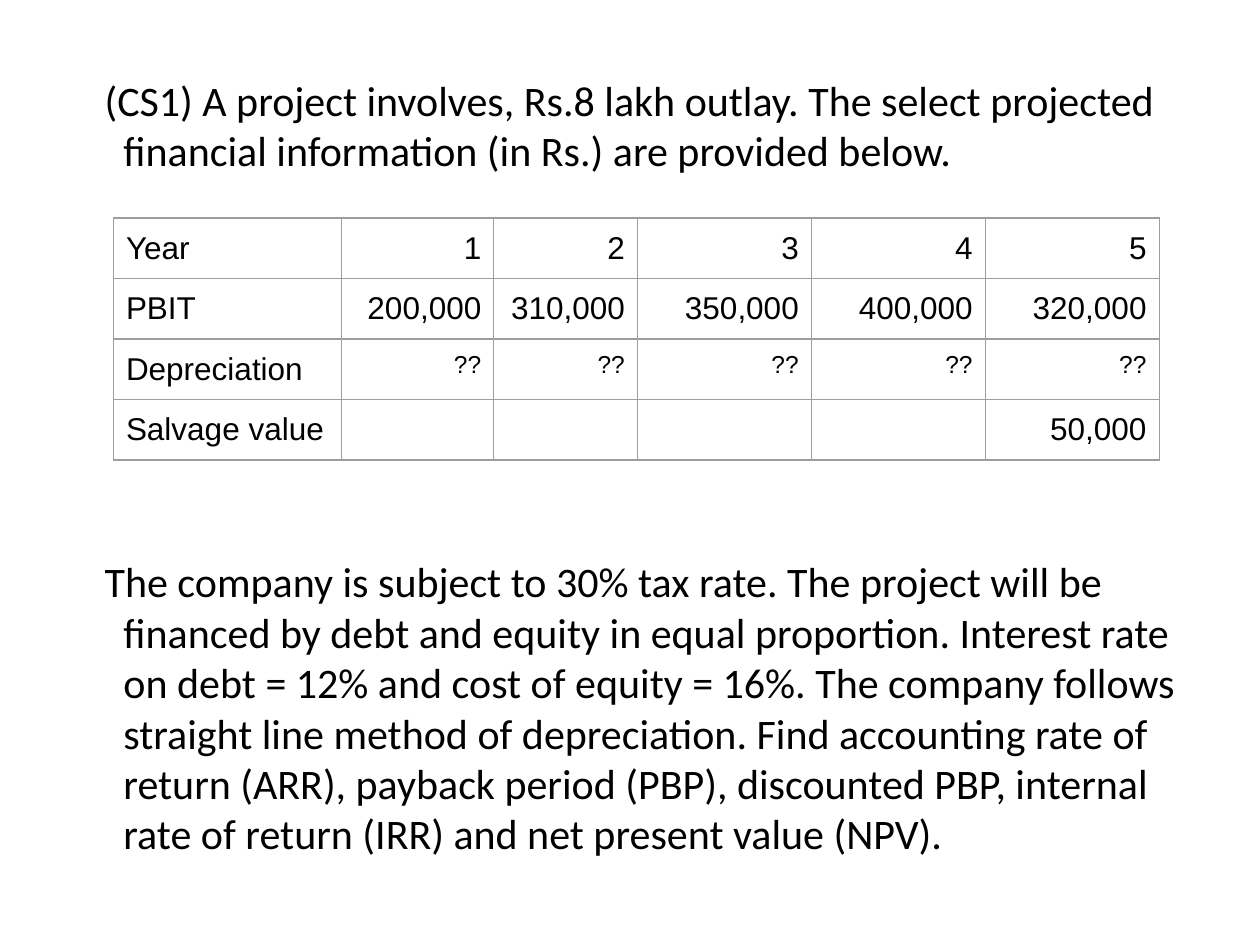
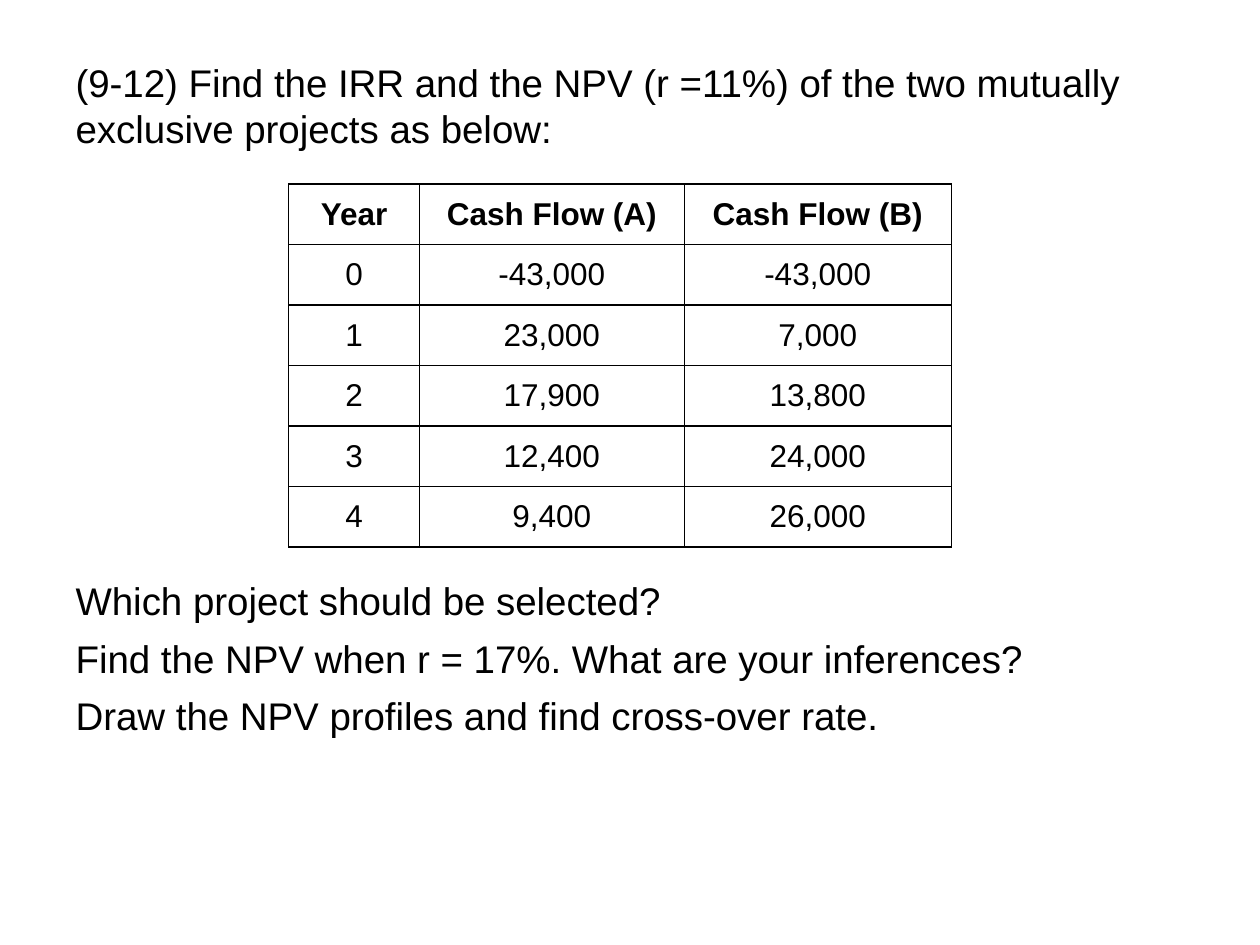
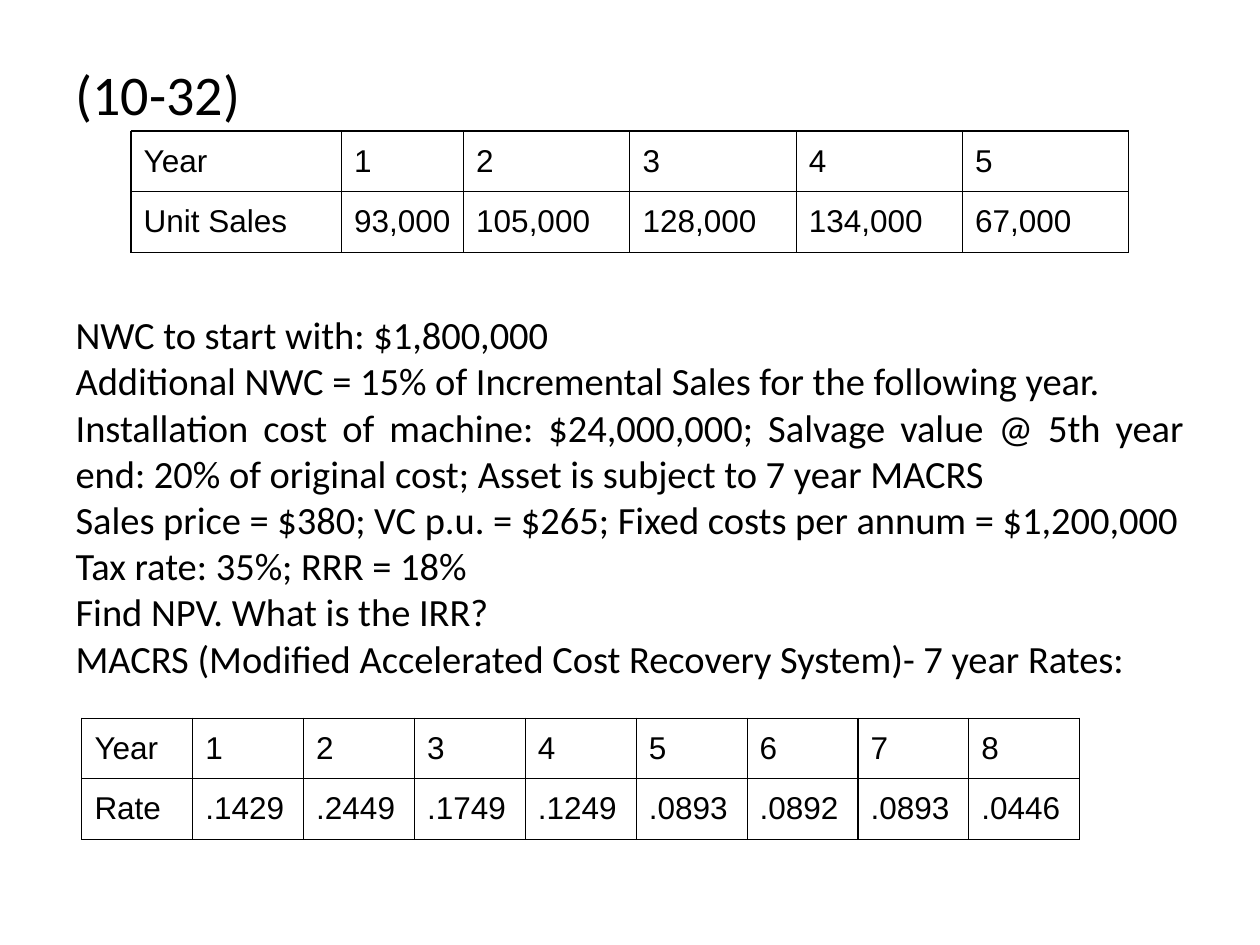
from lxml import etree
from pptx import Presentation
from pptx.dml.color import RGBColor
from pptx.enum.text import MSO_ANCHOR, MSO_AUTO_SIZE, PP_ALIGN
from pptx.oxml.ns import qn
from pptx.util import Pt

LEFT, CENTER, RIGHT, JUSTIFY = PP_ALIGN.LEFT, PP_ALIGN.CENTER, PP_ALIGN.RIGHT, PP_ALIGN.JUSTIFY
TOP, NO_AUTOFIT = MSO_ANCHOR.TOP, MSO_AUTO_SIZE.NONE
PX = 9144  # 100 px to the inch
BLACK, GREY = "000000", "9E9E9E"
TITLE_AND_CONTENT = 1
LINE_PITCH = 1.2


def color(value):
    return RGBColor.from_string(value)


class Deck:
    table_font, table_size = "Arial", 18
    cell_margin, row_height, border_points = 10, 42, 0.75

    def __init__(self):
        self.presentation = Presentation()
        self.presentation.slide_width = 1000 * PX
        self.presentation.slide_height = 750 * PX
        self.slide = None

    def add_slide(self):
        layout = self.presentation.slide_layouts[TITLE_AND_CONTENT]
        self.slide = self.presentation.slides.add_slide(layout)
        title = self.slide.shapes.title
        title.element.getparent().remove(title.element)

    def add_run(self, paragraph, text, font, size, bold=False):
        run = paragraph.add_run()
        run.text = text
        run.font.name, run.font.size, run.font.bold = font, Pt(size), bold
        run.font.color.rgb = color(BLACK)

    def body(self, top, height, paragraphs, font, inset=5, align=LEFT, margin=0, indent=0):
        """Fill the body placeholder with (text, size, space before) paragraphs."""
        shape = self.slide.placeholders[1]
        shape.left, shape.top = 50 * PX, top * PX
        shape.width, shape.height = 900 * PX, height * PX
        frame = shape.text_frame
        frame.word_wrap, frame.auto_size, frame.vertical_anchor = True, NO_AUTOFIT, TOP
        frame.margin_left = frame.margin_right = 10 * PX
        frame.margin_top = frame.margin_bottom = inset * PX
        for index, (text, size, space_before) in enumerate(paragraphs):
            paragraph = frame.add_paragraph() if index else frame.paragraphs[0]
            paragraph.alignment = align
            paragraph.line_spacing = Pt(LINE_PITCH * size)
            paragraph.space_before, paragraph.space_after = Pt(space_before), Pt(0)
            self.add_run(paragraph, text, font, size)
            properties = paragraph._p.get_or_add_pPr()
            properties.set("marL", str(margin * PX))
            properties.set("indent", str(indent * PX))
            etree.SubElement(properties, qn("a:buNone"))

    def border(self, cell, line_color):
        properties = cell._tc.get_or_add_tcPr()
        for position, side in enumerate(("lnL", "lnR", "lnT", "lnB")):
            line = etree.Element(qn(f"a:{side}"), w=str(Pt(self.border_points)))
            fill = etree.SubElement(line, qn("a:solidFill"))
            etree.SubElement(fill, qn("a:srgbClr"), val=line_color)
            properties.insert(position, line)

    def table(self, left, top, widths, rows, line_color=BLACK, first_align=LEFT,
              align=LEFT, bold_header=False, small_text=None):
        """Draw rows of text; small_text names the entry set in smaller type."""
        frame = self.slide.shapes.add_table(
            len(rows), len(widths), left * PX, top * PX,
            sum(widths) * PX, len(rows) * self.row_height * PX)
        table = frame.table
        table.first_row = table.horz_banding = False
        for column, width in zip(table.columns, widths):
            column.width = width * PX
        for row_index, row in enumerate(rows):
            for column_index, text in enumerate(row):
                cell = table.cell(row_index, column_index)
                cell.fill.background()
                self.border(cell, line_color)
                if not text:
                    continue
                cell.margin_left = cell.margin_right = self.cell_margin * PX
                cell.margin_top = cell.margin_bottom = self.cell_margin * PX
                paragraph = cell.text_frame.paragraphs[0]
                paragraph.alignment = align if column_index else first_align
                size = 14 if text == small_text else self.table_size
                self.add_run(paragraph, text, self.table_font, size,
                             bold_header and row_index == 0)


def accounting_return_slide(deck):
    deck.add_slide()
    deck.body(49, 661, [
        ("(CS1) A project involves, Rs.8 lakh outlay. The select projected financial "
         "information (in Rs.) are provided below.", 24, 6.4),
        ("The company is subject to 30% tax rate. The project will be financed by debt "
         "and equity in equal proportion. Interest rate on debt = 12% and cost of "
         "equity = 16%. The company follows straight line method of depreciation. Find "
         "accounting rate of return (ARR), payback period (PBP), discounted PBP, "
         "internal rate of return (IRR) and net present value (NPV).", 24, 217.6),
    ], "Calibri", inset=10, margin=38, indent=-15)
    deck.table(90, 173, [181, 121, 114, 138, 138, 138], [
        ["Year", "1", "2", "3", "4", "5"],
        ["PBIT", "200,000", "310,000", "350,000", "400,000", "320,000"],
        ["Depreciation"] + ["??"] * 5,
        ["Salvage value"] + [""] * 4 + ["50,000"],
    ], line_color=GREY, align=RIGHT, small_text="??")


def exclusive_projects_slide(deck):
    deck.add_slide()
    deck.body(42, 628, [
        ("(9-12) Find the IRR and the NPV (r =11%) of the two mutually exclusive "
         "projects as below:", 22, 0),
        ("Which project should be selected?", 22, 243.2),
        ("Find the NPV when r = 17%. What are your inferences?", 22, 6.4),
        ("Draw the NPV profiles and find cross-over rate.", 22, 6.4),
    ], "Arial")
    deck.table(229, 146, [104, 210, 212], [
        ["Year", "Cash Flow (A)", "Cash Flow (B)"],
        ["0", "-43,000", "-43,000"],
        ["1", "23,000", "7,000"],
        ["2", "17,900", "13,800"],
        ["3", "12,400", "24,000"],
        ["4", "9,400", "26,000"],
    ], first_align=CENTER, align=CENTER, bold_header=True)


def machine_investment_slide(deck):
    deck.add_slide()
    facts = [
        "Additional NWC = 15% of Incremental Sales for the following year.",
        "Installation cost of machine: $24,000,000; Salvage value @ 5th year end: "
        "20% of original cost; Asset is subject to 7 year MACRS",
        "Sales price = $380; VC p.u. = $265; Fixed costs per annum = $1,200,000",
        "Tax rate: 35%; RRR = 18%",
        "Find NPV. What is the IRR?",
        "MACRS (Modified Accelerated Cost Recovery System)- 7 year Rates:",
    ]
    deck.body(42, 628, [
        ("(10-32)", 32, 0),
        ("NWC to start with: $1,800,000", 22, 105.6),
        *((fact, 22, 0) for fact in facts),
    ], "Calibri", align=JUSTIFY)
    deck.table(104, 104, [167, 97] + [132] * 4, [
        ["Year", "1", "2", "3", "4", "5"],
        ["Unit Sales", "93,000", "105,000", "128,000", "134,000", "67,000"],
    ])
    deck.table(65, 570, [88] * 9, [
        ["Year"] + [str(year) for year in range(1, 9)],
        ["Rate", ".1429", ".2449", ".1749", ".1249", ".0893", ".0892", ".0893", ".0446"],
    ])


def main():
    deck = Deck()
    accounting_return_slide(deck)
    exclusive_projects_slide(deck)
    machine_investment_slide(deck)
    deck.presentation.save("out.pptx")


if __name__ == "__main__":
    main()
